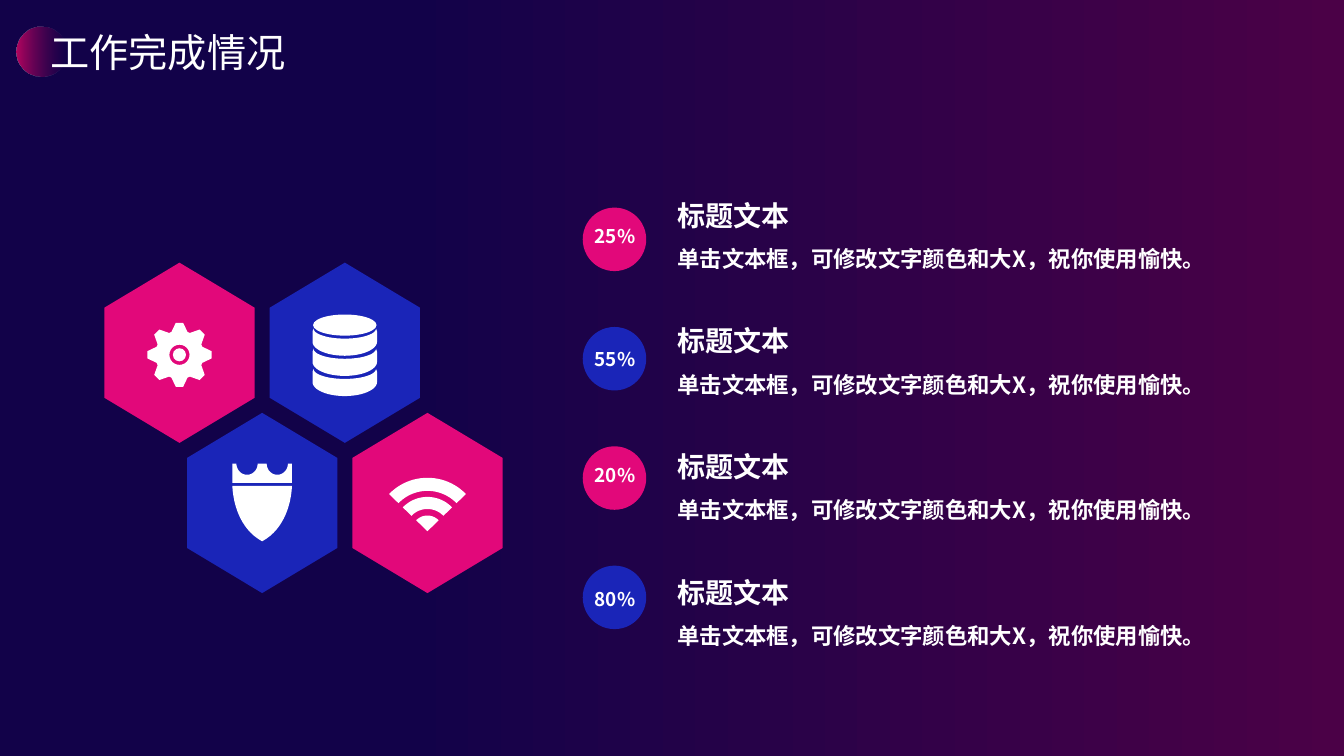
"""Build the work completion slide with hexagon icons and four percentages."""
import math

import lxml.etree
import pptx
import pptx.dml.color
import pptx.enum.shapes
import pptx.enum.text
import pptx.oxml.ns
import pptx.util

Inches = pptx.util.Inches
RGBColor = pptx.dml.color.RGBColor
OVAL = pptx.enum.shapes.MSO_SHAPE.OVAL
ALIGN = pptx.enum.text.PP_ALIGN

FONT = "Noto Sans CJK SC"
WHITE = RGBColor(0xFF, 0xFF, 0xFF)
PINK = RGBColor(0xE2, 0x08, 0x7A)
BLUE = RGBColor(0x1A, 0x25, 0xB8)
NIGHT = RGBColor(0x12, 0x02, 0x49)
PLUM = RGBColor(0x4B, 0x01, 0x47)
MAGENTA = RGBColor(0xB3, 0x06, 0x60)
PURPLE = RGBColor(0x57, 0x01, 0x52)

HEADING = "标题文本"
DETAIL = "单击文本框，可修改文字颜色和大X，祝你使用愉快。"
RATES = [("25%", 2.19, PINK), ("55%", 3.41, BLUE), ("20%", 4.56, PINK), ("80%", 5.79, BLUE)]
HEXAGONS = [(1.78, 3.5, PINK), (3.42, 3.5, BLUE), (2.6, 4.99, BLUE), (4.24, 4.99, PINK)]


def set_gradient(fill, start, end, first_position=0):
    """Apply a left-to-right gradient of two colours."""
    fill.gradient()
    fill.gradient_angle = 0
    for stop, color, position in zip(fill.gradient_stops, (start, end), (first_position, 1)):
        stop.color.rgb = color
        stop.position = position


def paint(shape, color):
    """Give a shape a plain fill without outline or shadow."""
    shape.shadow.inherit = False
    shape.line.fill.background()
    shape.fill.solid()
    shape.fill.fore_color.rgb = color


def add_oval(slide, left, top, width, height, color):
    """Add a plain ellipse."""
    oval = slide.shapes.add_shape(OVAL, Inches(left), Inches(top), Inches(width), Inches(height))
    paint(oval, color)
    return oval


def add_outline(slide, color, *contours):
    """Add a filled freeform made of one or more closed contours."""
    builder = None
    for contour in contours:
        start, *rest = [(Inches(x), Inches(y)) for x, y in contour]
        if builder is None:
            builder = slide.shapes.build_freeform(*start)
        else:
            builder.move_to(*start)
        builder.add_line_segments(rest, close=True)
    paint(builder.convert_to_shape(), color)


def arc(x, y, radius_x, radius_y, start, end, steps=24):
    """Return points on an elliptical arc, with clockwise degrees from the right."""
    angles = [math.radians(start + (end - start) * i / steps) for i in range(steps + 1)]
    return [(x + radius_x * math.cos(a), y + radius_y * math.sin(a)) for a in angles]


def format_paragraph(paragraph, size, bold, align=ALIGN.LEFT):
    """Style a paragraph and all of its runs."""
    paragraph.alignment = align
    for run in paragraph.runs:
        run.font.size = pptx.util.Pt(size)
        run.font.bold = bold
        run.font.color.rgb = WHITE
        run.font.name = FONT
        east_asian = lxml.etree.SubElement(run.font._element, pptx.oxml.ns.qn("a:ea"))
        east_asian.set("typeface", FONT)


def add_text(slide, left, top, width, height, text):
    """Add a wrapping text box that grows with its text."""
    box = slide.shapes.add_textbox(Inches(left), Inches(top), Inches(width), Inches(height))
    frame = box.text_frame
    frame.word_wrap = True
    frame.auto_size = pptx.enum.text.MSO_AUTO_SIZE.SHAPE_TO_FIT_TEXT
    frame.text = text
    return frame


def add_title(slide):
    """Fill the title and set the fading disc behind it."""
    title = slide.shapes.title
    title.left, title.top = Inches(0.4), Inches(0.23)
    title.width, title.height = Inches(2.63), Inches(0.57)
    frame = title.text_frame
    frame.text = "工作完成情况"
    frame.vertical_anchor = pptx.enum.text.MSO_ANCHOR.TOP
    frame.auto_size = pptx.enum.text.MSO_AUTO_SIZE.SHAPE_TO_FIT_TEXT
    format_paragraph(frame.paragraphs[0], 28, False)
    disc = add_oval(slide, 0.16, 0.26, 0.5, 0.5, MAGENTA)
    set_gradient(disc.fill, MAGENTA, PURPLE)
    fading = disc._element.findall(".//" + pptx.oxml.ns.qn("a:srgbClr"))[-1]
    lxml.etree.SubElement(fading, pptx.oxml.ns.qn("a:alpha")).set("val", "0")
    title._element.addprevious(disc._element)


def add_rate(slide, index, rate, label_top, color):
    """Add a percentage disc with its heading and detail."""
    add_oval(slide, 5.78, 2.06 + 1.184 * index, 0.63, 0.63, color)
    label = add_text(slide, 5.79, label_top, 0.62, 0.3, rate)
    label.margin_left = label.margin_right = Inches(0.07)
    label.margin_top = label.margin_bottom = Inches(0.04)
    format_paragraph(label.paragraphs[0], 13.5, True, ALIGN.CENTER)
    description = add_text(slide, 6.62, 1.75 + 1.247 * index, 6.01, 0.96, f"{HEADING}\n{DETAIL}")
    for paragraph, size in zip(description.paragraphs, (20, 16)):
        paragraph.line_spacing = 1.5
        format_paragraph(paragraph, size, True)


def add_hexagon(slide, x, y, color):
    """Add an upright hexagon around a centre."""
    corners = [(0, -2), (1, -1), (1, 1), (0, 2), (-1, 1), (-1, -1)]
    add_outline(slide, color, [(x + 0.745 * i, y + 0.447 * j) for i, j in corners])


def add_gear(slide, x, y):
    """Add an eight-toothed gear with a ringed hub."""
    tooth = [(-19.5, 0.24), (-6.5, 0.32), (6.5, 0.32), (19.5, 0.24)]
    rim = []
    for turn in range(0, 360, 45):
        for angle, radius in tooth:
            a = math.radians(turn + angle - 90)
            rim.append((x + radius * math.cos(a), y + radius * math.sin(a)))
    add_outline(slide, WHITE, rim, arc(x, y, 0.1, 0.1, 360, 0))
    add_oval(slide, x - 0.065, y - 0.065, 0.13, 0.13, WHITE)


def add_database(slide, x, top):
    """Add a stack of three curved tiers under a lid."""
    for tier in range(3):
        y = top + 0.14 + 0.2 * tier
        upper = arc(x, y, 0.31, 0.1, 180, 0)
        lower = arc(x, y + 0.13, 0.32, 0.14, 0, 180)
        add_outline(slide, WHITE, upper + [(x + 0.32, y + 0.03)] + lower + [(x - 0.32, y + 0.03)])
    add_oval(slide, x - 0.315, top, 0.63, 0.21, WHITE)


def add_shield(slide, x, top):
    """Add a pointed shield below a notched crown."""
    edge = []
    for i in range(21):
        t = i / 20
        depth = 0.55 * (1 - t) ** 3 + 1.17 * (1 - t) ** 2 * t
        edge.append((0.295 * (1 - (1 - t) ** 3), top + 0.22 + depth))
    left_edge = [(x - dx, y) for dx, y in reversed(edge)]
    add_outline(slide, WHITE, left_edge + [(x + dx, y) for dx, y in edge])
    notches = [point for dx in (-0.15, 0.15) for point in arc(x + dx, top, 0.105, 0.11, 180, 0)]
    base = [(x + 0.295, top), (x + 0.295, top + 0.19), (x - 0.295, top + 0.19)]
    add_outline(slide, WHITE, [(x - 0.295, top)] + notches + base)


def add_wireless(slide, x, y):
    """Add three signal bands spreading upward from a point."""
    for outer, inner in [(0.155, 0), (0.34, 0.22), (0.53, 0.4)]:
        band = arc(x, y, outer, outer, 224, 316) + arc(x, y, inner, inner, 316, 224)
        add_outline(slide, WHITE, band)


def main():
    """Build and save the slide."""
    deck = pptx.Presentation()
    deck.slide_width, deck.slide_height = Inches(13.33), Inches(7.5)
    slide = deck.slides.add_slide(deck.slide_layouts[5])
    set_gradient(slide.background.fill, NIGHT, PLUM, 0.3)
    add_title(slide)
    for index, (rate, label_top, color) in enumerate(RATES):
        add_rate(slide, index, rate, label_top, color)
    for x, y, color in HEXAGONS:
        add_hexagon(slide, x, y, color)
    add_gear(slide, 1.78, 3.52)
    add_database(slide, 3.42, 3.12)
    add_shield(slide, 2.6, 4.6)
    add_wireless(slide, 4.24, 5.27)
    deck.save("out.pptx")


if __name__ == "__main__":
    main()
